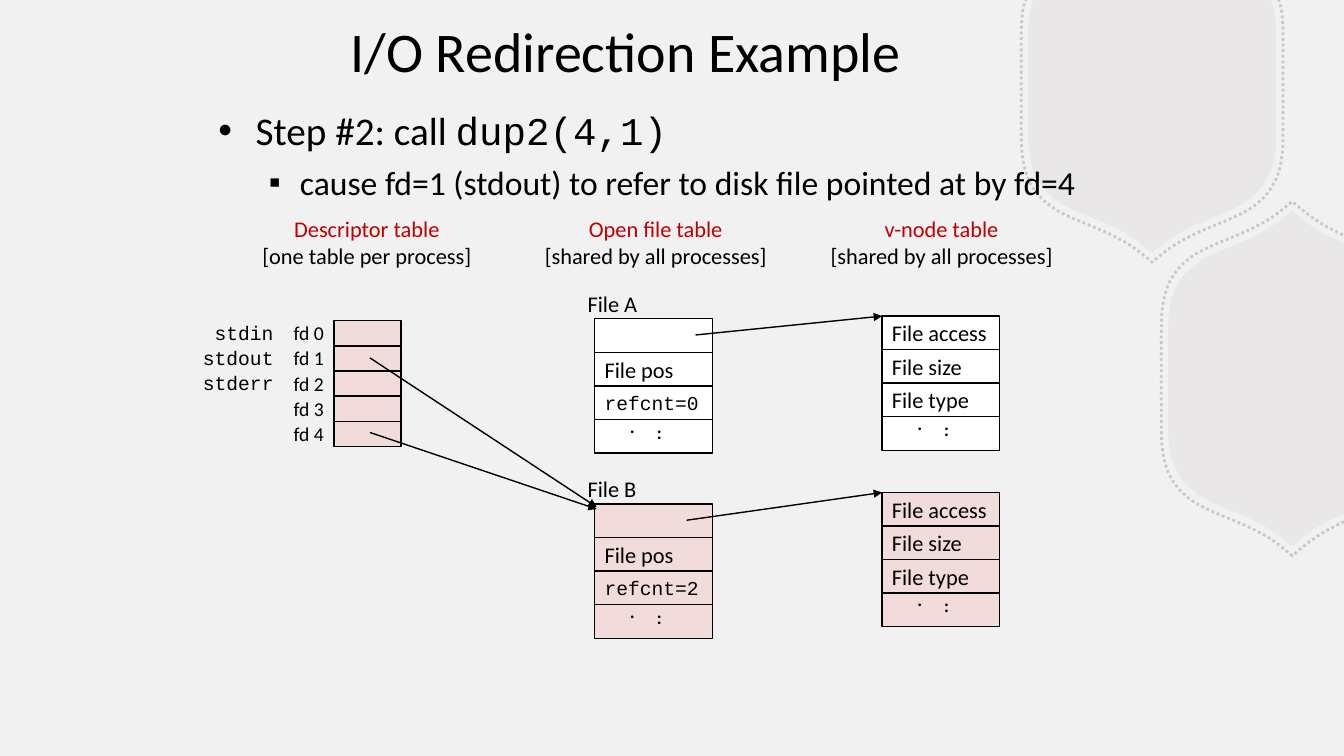
from dataclasses import dataclass

from lxml.etree import SubElement
from pptx import Presentation
from pptx.dml.color import RGBColor
from pptx.enum.dml import MSO_LINE
from pptx.enum.shapes import MSO_CONNECTOR, MSO_SHAPE
from pptx.enum.text import MSO_ANCHOR, PP_ALIGN as Align
from pptx.oxml.ns import qn
from pptx.util import Pt


@dataclass(frozen=True)
class Theme:
    """Colours, fonts and type sizes of the slide."""
    background: str = "F2F1F1"
    hexagon: str = "B8B2B2"
    ink: str = "000000"
    heading: str = "C00000"
    plain: str = "FFFFFF"
    active: str = "F2DCDB"
    sans: str = "Calibri"
    mono: str = "Courier New"
    bullet: str = "Arial"
    title_size: int = 40
    step_size: int = 28
    detail_size: int = 24
    label_size: int = 16
    small_size: int = 14


THEME = Theme()
WIDTH, HEIGHT = 960, 540
ROW = 24
CELL_WIDTH = 84.2
FD_ROW = 18
FD_WIDTH = 48
CORNER = [(88.6, 34.9), (88.6, 60.8), (81.4, 73.8), (65.5, 84.2),
          (49, 94), (27.4, 98.3), (7.9, 113.4), (0, 119.9)]
TOP_CUT = [(85, -60.8), (85.7, -58.6), (87.8, -52.2), (88.6, -44.2), (88.6, -34.9),
           (88.6, -6), (88.6, 22.7)]
RIGHT_CUT = [(37, 96.8), (22.3, 103.3), (18, 106.2), (13, 109.1), (7.9, 113.4)]


def color(value):
    """Turn a hex string into a colour."""
    return RGBColor.from_string(value)


def style_run(run, size, font=THEME.sans, ink=THEME.ink):
    """Give a run its font, size and colour."""
    run.font.name = font
    run.font.size = Pt(size)
    run.font.color.rgb = color(ink)


def write(shape, text, size, font=THEME.sans, align=Align.LEFT, inks=(THEME.ink,), wrap=False):
    """Fill a shape with text, one ink per paragraph."""
    frame = shape.text_frame
    frame.text = text
    frame.word_wrap = wrap
    frame.vertical_anchor = MSO_ANCHOR.MIDDLE
    for paragraph, ink in zip(frame.paragraphs, inks):
        paragraph.alignment = align
        for run in paragraph.runs:
            style_run(run, size, font, ink)


def add_label(slide, box, text, size, **options):
    """Place a text box at left, top, width, height."""
    label = slide.shapes.add_textbox(*map(Pt, box))
    write(label, text, size, **options)


def add_cell(slide, box, fill):
    """Place one outlined table cell."""
    cell = slide.shapes.add_shape(MSO_SHAPE.RECTANGLE, *map(Pt, box))
    cell.shadow.inherit = False
    cell.fill.solid()
    cell.fill.fore_color.rgb = color(fill)
    cell.line.color.rgb = color(THEME.ink)
    cell.line.width = Pt(1)
    return cell


def add_arrow(slide, start, end):
    """Draw an arrow between two points."""
    arrow = slide.shapes.add_connector(MSO_CONNECTOR.STRAIGHT, *map(Pt, start + end))
    arrow.line.color.rgb = color(THEME.ink)
    arrow.line.width = Pt(1)
    SubElement(arrow.line._get_or_add_ln(), qn("a:tailEnd"), type="triangle")
    SubElement(arrow._element.spPr, qn("a:effectLst"))


def mirrored(half, codes, flip_x, flip_y):
    """Complete half an outline with its mirror image."""
    other = [(x * flip_x, y * flip_y) for x, y in half[-2::-1]]
    return half + other, codes + codes[::-1]


def add_outline(slide, center, scale, points, codes, close):
    """Build a freeform of lines (L) and cubic curves (C) cut at the slide edge."""
    vertices = [(Pt(min(center[0] + x * scale, WIDTH)), Pt(max(center[1] + y * scale, 0)))
                for x, y in points]
    builder = slide.shapes.build_freeform(*vertices[0])
    builder.add_line_segments(vertices[1:], close=close)
    outline = builder.convert_to_shape()
    outline.shadow.inherit = False
    segments = iter(list(outline._element.iter(qn("a:lnTo"))))
    for code in codes:
        segment = next(segments)
        if code == "C":
            segment.tag = qn("a:cubicBezTo")
            for extra in (next(segments), next(segments)):
                segment.append(extra[0])
                extra.getparent().remove(extra)
    return outline


def set_alpha(fill, percent):
    """Make a solid fill translucent."""
    fill.fore_color.rgb = color(THEME.hexagon)
    node = fill._xPr.find(qn("a:solidFill"))[0]
    SubElement(node, qn("a:alpha"), val=str(percent * 1000))


def add_hexagon(slide, center, points, codes):
    """Draw a tinted hexagon with its dotted rim."""
    tint = add_outline(slide, center, 1, points, codes, True)
    tint.fill.solid()
    set_alpha(tint.fill, 15)
    tint.line.fill.background()
    rim = add_outline(slide, center, 1.055, points, codes, False)
    rim.fill.background()
    rim.line.width = Pt(2)
    rim.line.fill.solid()
    set_alpha(rim.line.fill, 65)
    rim.line.dash_style = MSO_LINE.ROUND_DOT


def add_backdrop(slide):
    """Draw the two hexagons at the right of the slide."""
    add_hexagon(slide, (823, 60.8), *mirrored(TOP_CUT + CORNER, "LCLLLCCL", -1, 1))
    left_corner = [(-x, y) for x, y in CORNER[::-1]]
    half = RIGHT_CUT + left_corner + [(-88.6, 22), (-88.6, 0)]
    add_hexagon(slide, (923, 270.4), *mirrored(half, "LCLLCCLL", 1, -1))


def add_bullet(paragraph, mark, margin, hang):
    """Give a paragraph a hanging bullet."""
    properties = paragraph._p.get_or_add_pPr()
    properties.set("marL", str(Pt(margin)))
    properties.set("indent", str(-Pt(hang)))
    SubElement(properties, qn("a:buFont"), typeface=THEME.bullet)
    SubElement(properties, qn("a:buChar"), char=mark)


def add_step(slide, box):
    """Write the step and its explanation."""
    frame = slide.shapes.add_textbox(*map(Pt, box)).text_frame
    frame.word_wrap = True
    frame.text = "Step #2: call \ncause fd=1 (stdout) to refer to disk file pointed at by fd=4"
    step, detail = frame.paragraphs
    add_bullet(step, "•", 26.6, 26.6)
    add_bullet(detail, "▪", 58.2, 22.2)
    detail.level = 1
    detail.space_before = Pt(6)
    style_run(step.runs[0], THEME.step_size)
    style_run(detail.runs[0], THEME.detail_size)
    call = step.add_run()
    call.text = "dup2(4,1)"
    style_run(call, THEME.step_size, THEME.mono)


def add_descriptor_table(slide, left, top):
    """Draw the descriptor cells with their numbers and stream names."""
    for index, name in enumerate(["stdin", "stdout", "stderr", "", ""]):
        y = top + index * FD_ROW
        add_cell(slide, (left, y, FD_WIDTH, FD_ROW), THEME.active)
        add_label(slide, (left - FD_WIDTH, y - 0.2, FD_WIDTH, FD_ROW), f"fd {index}",
                  THEME.small_size, align=Align.RIGHT)
        if name:
            width = 14.4 + 8.4 * len(name)
            add_label(slide, (left - 35.8 - width, y - 3.7, width, 24.5), name,
                      THEME.small_size, font=THEME.mono)


def add_record(slide, left, top, fill, rows):
    """Stack the cells of one file record."""
    for index, text in enumerate(rows):
        cell = add_cell(slide, (left, top + index * ROW, CELL_WIDTH, ROW), fill)
        if text.startswith("refcnt"):
            write(cell, text, THEME.small_size, font=THEME.mono)
        elif text:
            write(cell, text, THEME.label_size, wrap=text == "...")
        if text == "...":
            cell.text_frame._txBody.bodyPr.set("vert", "eaVert")


def add_file(slide, name, count, fill, open_top, node_top, pointer_x):
    """Draw a file's open-table entry, its v-node and the arrow joining them."""
    left, node_left = 424.8, 630
    add_record(slide, left, open_top, fill, ["", "File pos", f"refcnt={count}", "..."])
    add_record(slide, node_left, node_top, fill, ["File access", "File size", "File type", "..."])
    add_label(slide, (left - 12.2, open_top - 24.2, 50, 26.6), name, THEME.label_size)
    add_arrow(slide, (pointer_x, open_top + ROW / 2 - 0.4), (node_left, node_top + 0.2))


def main():
    """Build and save the slide."""
    presentation = Presentation()
    presentation.slide_width, presentation.slide_height = Pt(WIDTH), Pt(HEIGHT)
    slide = presentation.slides.add_slide(presentation.slide_layouts[6])
    slide.background.fill.solid()
    slide.background.fill.fore_color.rgb = color(THEME.background)
    add_backdrop(slide)
    add_label(slide, (148, 6, 597.6, 60), "I/O Redirection Example", THEME.title_size,
              align=Align.CENTER, wrap=True)
    add_step(slide, (149, 72.2, 679, 104))
    for center, width, name, scope in [(262.1, 165.6, "Descriptor table", "one table per process"),
                                       (468.4, 175, "Open file table", "shared by all processes"),
                                       (672.6, 175, "v-node table", "shared by all processes")]:
        add_label(slide, (center - width / 2, 150, width, 46), f"{name}\n[{scope}]",
                  THEME.label_size, align=Align.CENTER, inks=(THEME.heading, THEME.ink))
    add_descriptor_table(slide, 238.5, 229)
    add_file(slide, "File A", 0, THEME.plain, 227.7, 225.6, 496.8)
    add_file(slide, "File B", 2, THEME.active, 360, 351.6, 490.5)
    add_arrow(slide, (264.2, 255.6), (426.2, 362.2))
    add_arrow(slide, (264.2, 308.9), (426.2, 363.6))
    presentation.save("out.pptx")


if __name__ == "__main__":
    main()
